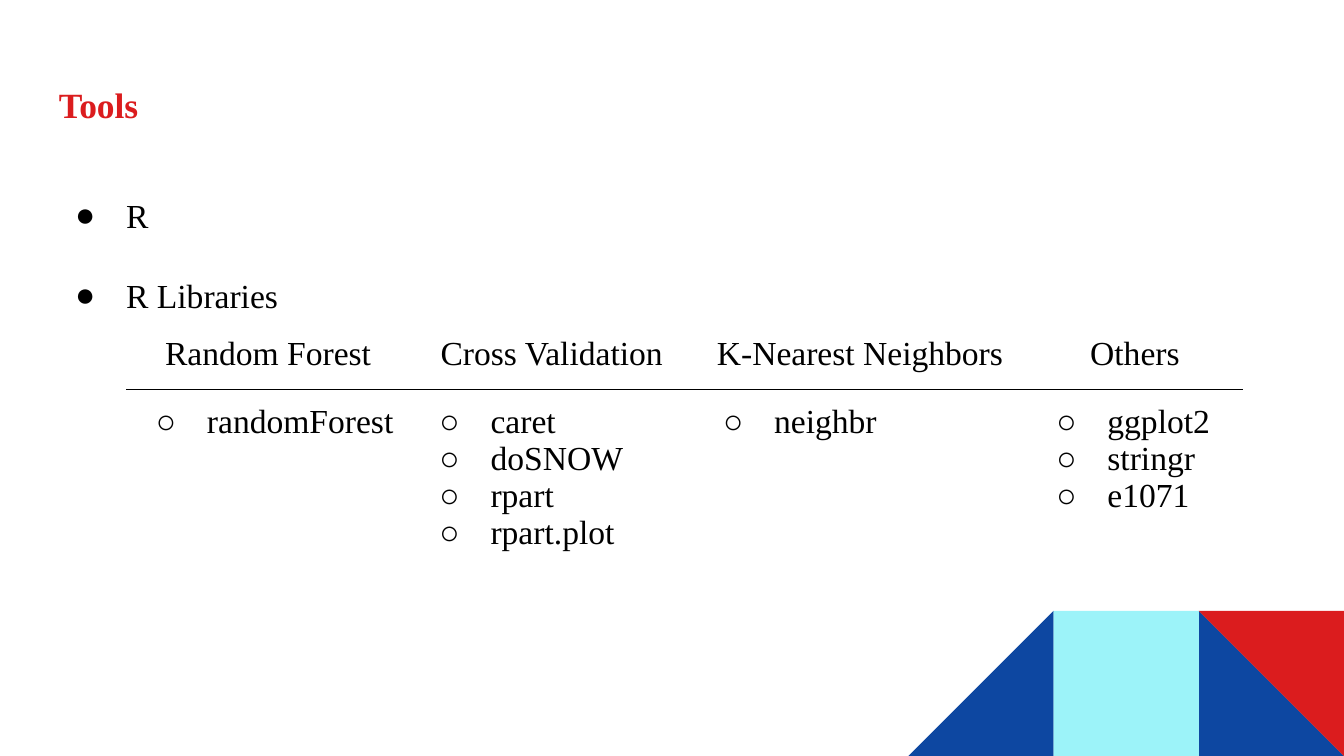
"""Build the Tools slide: two bullets, a table of R libraries and a corner motif."""
import lxml.etree
import pptx
import pptx.dml.color
import pptx.enum.shapes
import pptx.enum.text
import pptx.oxml.ns
import pptx.util

WIDTH = 10
HEIGHT = WIDTH * 9 / 16
FONT, BODY_SIZE, TITLE_SIZE = "Times New Roman", 18, 19
BLACK, RED, BLUE, CYAN = "000000", "DB1C1E", "0D47A1", "9CF3F9"
MARGIN, INSET, TILE = 0.34, 0.1, 1.08
LINE_GAP = 21.5
PLAIN_TABLE = "{2D5ABB26-0587-4C30-8999-92F81FD0307C}"

TITLE = "Tools"
BULLETS = ["R", "R Libraries"]
LIBRARIES = [
    ("Random Forest", 2.11, ["randomForest"]),
    ("Cross Validation", 2.11, ["caret", "doSNOW", "rpart", "rpart.plot"]),
    ("K-Nearest Neighbors", 2.48, ["neighbr"]),
    ("Others", 1.61, ["ggplot2", "stringr", "e1071"]),
]
ROW_HEIGHTS = [0.42, 1.02]
TABLE_FRAME = 3.28
TILES = [
    (1, "RIGHT_TRIANGLE", BLUE, 0, False),
    (3, "RIGHT_TRIANGLE", BLUE, 0, True),
    (2, "RECTANGLE", CYAN, 0, False),
    (1, "RIGHT_TRIANGLE", RED, 180, False),
]

inches = pptx.util.Inches
qn = pptx.oxml.ns.qn


def color(value):
    return pptx.dml.color.RGBColor.from_string(value)


def add_span(para, text, size=BODY_SIZE, tint=BLACK, bold=False):
    span = para.add_run()
    span.text = text
    span.font.name = FONT
    span.font.size = pptx.util.Pt(size)
    span.font.bold = bold
    span.font.color.rgb = color(tint)


def set_bullet(para, mark):
    properties = para._p.get_or_add_pPr()
    properties.set("marL", str(inches(0.5)))
    properties.set("indent", str(inches(-0.38)))
    tint = lxml.etree.SubElement(properties, qn("a:buClr"))
    lxml.etree.SubElement(tint, qn("a:srgbClr"), val=BLACK)
    lxml.etree.SubElement(properties, qn("a:buFont"), typeface=FONT)
    lxml.etree.SubElement(properties, qn("a:buChar"), char=mark)


def add_list(frame, items, mark):
    for index, item in enumerate(items):
        para = frame.add_paragraph() if index else frame.paragraphs[0]
        set_bullet(para, mark)
        add_span(para, item)


def set_insets(holder):
    for side in ("left", "top", "right", "bottom"):
        setattr(holder, f"margin_{side}", inches(INSET))


def add_box(slide, top, height, anchor):
    box = slide.shapes.add_textbox(
        inches(MARGIN), inches(top), inches(WIDTH - 2 * MARGIN), inches(height))
    frame = box.text_frame
    frame.word_wrap = True
    frame.vertical_anchor = anchor
    set_insets(frame)
    return frame


def set_border(cell, edge):
    line = lxml.etree.Element(qn(f"a:{edge}"), w=str(pptx.util.Pt(0.75)))
    fill = lxml.etree.SubElement(line, qn("a:solidFill"))
    lxml.etree.SubElement(fill, qn("a:srgbClr"), val=BLACK)
    cell._tc.get_or_add_tcPr().insert(0, line)


def add_tiles(slide):
    for steps, name, tint, turn, mirrored in TILES:
        tile = slide.shapes.add_shape(
            getattr(pptx.enum.shapes.MSO_SHAPE, name),
            inches(WIDTH - steps * TILE), inches(HEIGHT - TILE), inches(TILE), inches(TILE))
        tile.shadow.inherit = False
        tile.fill.solid()
        tile.fill.fore_color.rgb = color(tint)
        tile.line.fill.background()
        tile.rotation = turn
        if mirrored:
            tile._element.spPr.find(qn("a:xfrm")).set("flipH", "1")


def add_libraries(slide):
    holder = slide.shapes.add_table(
        len(ROW_HEIGHTS), len(LIBRARIES), inches(0.94), inches(2.4),
        inches(TABLE_FRAME), inches(TABLE_FRAME))
    table = holder.table
    table.first_row = table.horz_banding = False
    table._tbl.tblPr.find(qn("a:tableStyleId")).text = PLAIN_TABLE
    for row, height in zip(table.rows, ROW_HEIGHTS):
        row.height = inches(height)
    for column, (heading, width, names) in enumerate(LIBRARIES):
        table.columns[column].width = inches(width)
        head, body = table.cell(0, column), table.cell(1, column)
        for cell, edge in ((head, "lnB"), (body, "lnT")):
            set_insets(cell)
            cell.fill.background()
            set_border(cell, edge)
        para = head.text_frame.paragraphs[0]
        para.alignment = pptx.enum.text.PP_ALIGN.CENTER
        add_span(para, heading)
        add_list(body.text_frame, names, "○")
    holder.width = holder.height = inches(TABLE_FRAME)


def main():
    deck = pptx.Presentation()
    deck.slide_width, deck.slide_height = inches(WIDTH), inches(HEIGHT)
    page = deck.slides.add_slide(deck.slide_layouts[6])
    add_tiles(page)
    title = add_box(page, 0.45, 0.66, pptx.enum.text.MSO_ANCHOR.MIDDLE)
    add_span(title.paragraphs[0], TITLE, TITLE_SIZE, RED, True)
    body = add_box(page, 1.35, 3.65, pptx.enum.text.MSO_ANCHOR.TOP)
    add_list(body, BULLETS, "●")
    body.paragraphs[0].space_after = pptx.util.Pt(LINE_GAP)
    add_libraries(page)
    deck.save("out.pptx")


if __name__ == "__main__":
    main()
